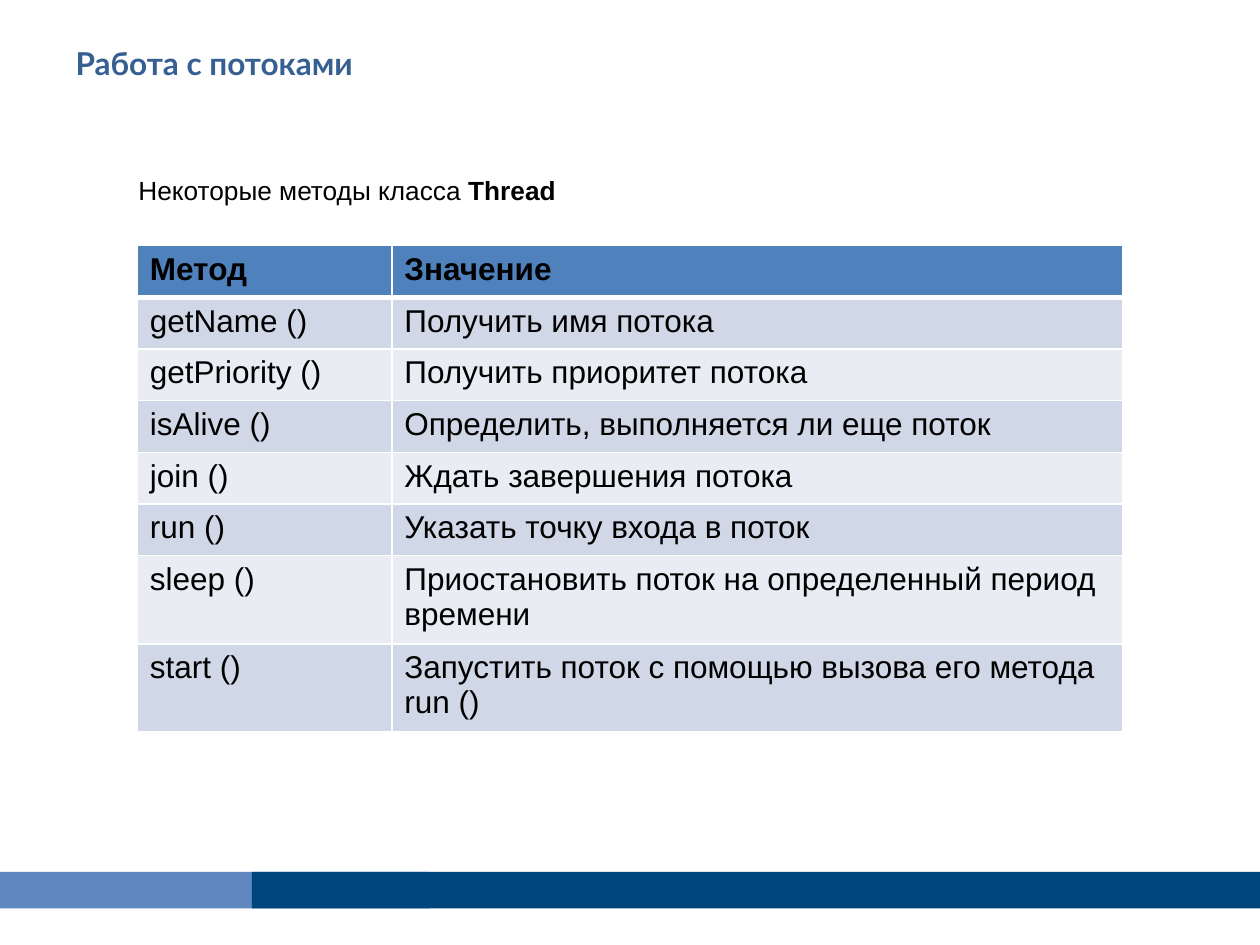
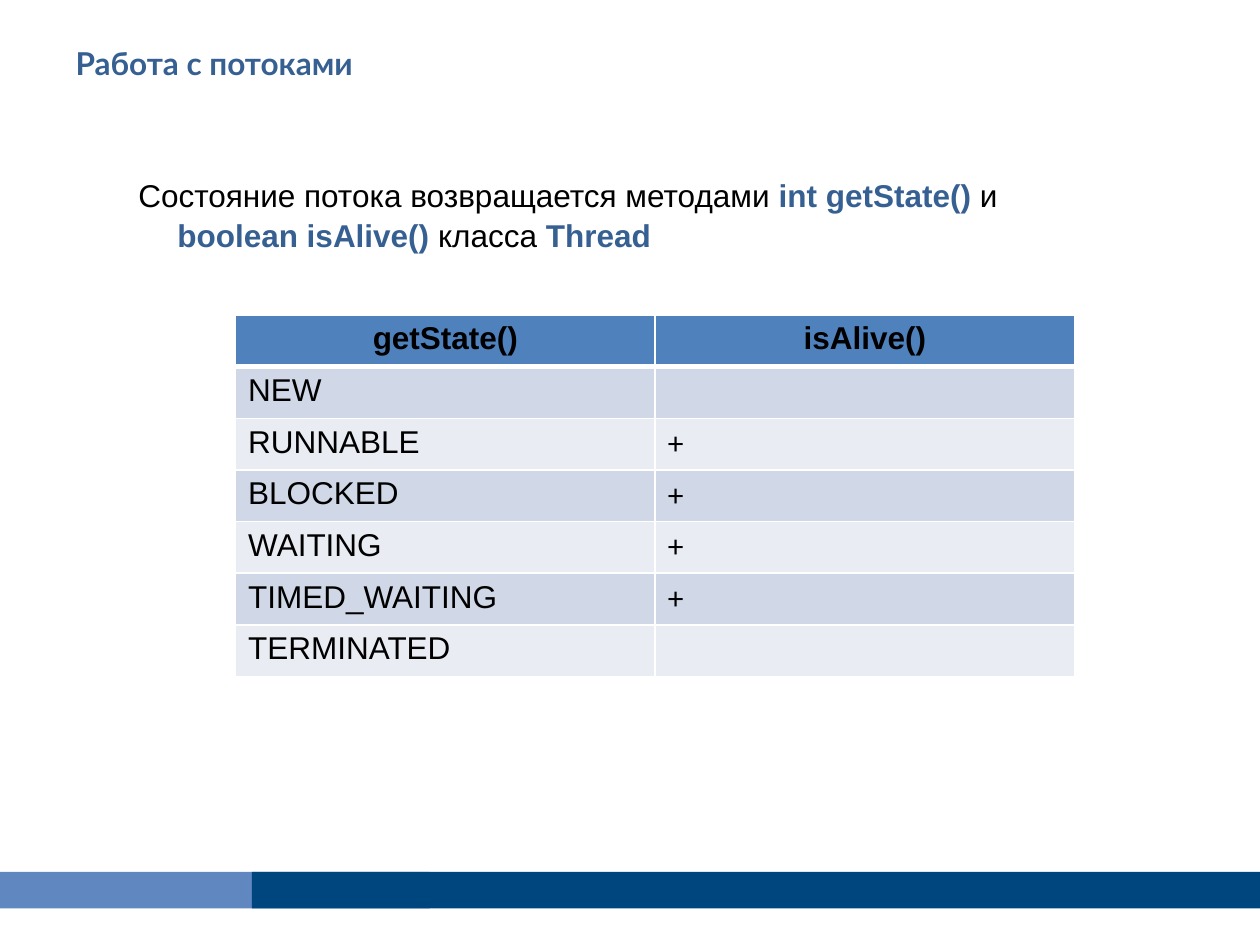
"""Build two slides on thread methods and thread states."""
import pptx
import pptx.dml.color
import pptx.enum.shapes
import pptx.enum.text
import pptx.oxml
import pptx.oxml.ns
import pptx.util

Inches = pptx.util.Inches
Pt = pptx.util.Pt
RGBColor = pptx.dml.color.RGBColor
PP_ALIGN = pptx.enum.text.PP_ALIGN

BLACK = RGBColor(0x00, 0x00, 0x00)
ACCENT = RGBColor(0x37, 0x60, 0x92)
BAND_LIGHT = RGBColor(0x60, 0x87, 0xBF)
BAND_DARK = RGBColor(0x00, 0x46, 0x7E)
HEADER = RGBColor(0x4F, 0x81, 0xBD)
ROW_FILLS = [RGBColor(0xE9, 0xEC, 0xF3), RGBColor(0xD0, 0xD8, 0xE7)]

BANDS = [(0, 3.41, BAND_LIGHT), (2, 8, BAND_DARK)]
TITLE = {"name": "Lato", "size": Pt(18), "bold": True}
BODY = {"name": "Arial", "size": Pt(18), "bold": False}
BOLD = {**BODY, "bold": True}
PLUS = {**BODY, "name": "Calibri"}
SMALL = {**BODY, "size": Pt(15)}

SLIDES = [
    {
        "intro": [
            ("Некоторые методы класса ", SMALL, BLACK),
            ("Thread", {**SMALL, "bold": True}, BLACK),
        ],
        "paragraph": {"space_before": Pt(3)},
        "at": (1.09, 1.95),
        "cols": [2.02, 5.8],
        "heights": [0.41] * 6 + [0.66] * 2,
        "header_align": PP_ALIGN.LEFT,
        "rows": [
            ("Метод", "Значение"),
            ("getName ()", "Получить имя потока"),
            ("getPriority ()", "Получить приоритет потока"),
            ("isAlive ()", "Определить, выполняется ли еще поток"),
            ("join ()", "Ждать завершения потока"),
            ("run ()", "Указать точку входа в поток"),
            ("sleep ()", "Приостановить поток на определенный период времени"),
            ("start ()", "Запустить поток с помощью вызова его метода run ()"),
        ],
    },
    {
        "intro": [
            ("Состояние потока возвращается методами ", BODY, BLACK),
            ("int getState() ", BOLD, ACCENT),
            ("и ", BODY, BLACK),
            ("boolean isAlive() ", BOLD, ACCENT),
            ("класса ", BODY, BLACK),
            ("Thread", BOLD, ACCENT),
        ],
        "paragraph": {"space_before": Pt(3.6), "line_spacing": 1.06},
        "at": (1.87, 2.5),
        "cols": [3.33, 3.33],
        "heights": [0.41] * 7,
        "header_align": PP_ALIGN.CENTER,
        "rows": [
            ("getState()", "isAlive()"),
            ("NEW", ""),
            ("RUNNABLE", "+"),
            ("BLOCKED", "+"),
            ("WAITING", "+"),
            ("TIMED_WAITING", "+"),
            ("TERMINATED", ""),
        ],
    },
]


def add_run(p, text, style, color):
    r = p.add_run()
    r.text = text
    for name, value in style.items():
        setattr(r.font, name, value)
    r.font.color.rgb = color


def set_borders(cell, bottom):
    tcPr = cell._tc.get_or_add_tcPr()
    widths = {"lnL": 0.96, "lnR": 0.96, "lnT": 0.96, "lnB": bottom}
    for i, (tag, width) in enumerate(widths.items()):
        tcPr.insert(i, pptx.oxml.parse_xml(
            f'<a:{tag} {pptx.oxml.ns.nsdecls("a")} w="{Pt(width)}"><a:solidFill>'
            f'<a:srgbClr val="FFFFFF"/></a:solidFill></a:{tag}>'))


prs = pptx.Presentation()
prs.slide_width = Inches(10)
prs.slide_height = Inches(7.5)

for data in SLIDES:
    slide = prs.slides.add_slide(prs.slide_layouts[5])

    for left, width, color in BANDS:
        sp = slide.shapes.add_shape(
            pptx.enum.shapes.MSO_SHAPE.RECTANGLE,
            Inches(left), Inches(6.92), Inches(width), Inches(0.29))
        sp.shadow.inherit = False
        sp.fill.solid()
        sp.fill.fore_color.rgb = color
        sp.line.fill.background()

    title = slide.shapes.title
    box = {"left": 0.5, "top": 0.3, "width": 9, "height": 0.78}
    for name, value in box.items():
        setattr(title, name, Inches(value))
    tf = title.text_frame
    tf.vertical_anchor = pptx.enum.text.MSO_ANCHOR.TOP
    p = tf.paragraphs[0]
    p.alignment = PP_ALIGN.LEFT
    add_run(p, "Работа с потоками", TITLE, ACCENT)

    sp = slide.shapes.add_textbox(Inches(1), Inches(1.33), Inches(8), Inches(5.25))
    tf = sp.text_frame
    tf.word_wrap = True
    p = tf.paragraphs[0]
    for name, value in data["paragraph"].items():
        setattr(p, name, value)
    pPr = p._p.get_or_add_pPr()
    pPr.set("marL", str(Inches(0.31)))
    pPr.set("indent", str(-Inches(0.31)))
    for text, style, color in data["intro"]:
        add_run(p, text, style, color)

    left, top = data["at"]
    table = slide.shapes.add_table(
        len(data["rows"]), len(data["cols"]), Inches(left), Inches(top),
        Inches(sum(data["cols"])), Inches(sum(data["heights"]))).table
    for col, width in zip(table.columns, data["cols"]):
        col.width = Inches(width)
    for i, texts in enumerate(data["rows"]):
        table.rows[i].height = Inches(data["heights"][i])
        for cell, text in zip(table.rows[i].cells, texts):
            cell.fill.solid()
            cell.fill.fore_color.rgb = ROW_FILLS[i % 2] if i else HEADER
            set_borders(cell, 0.96 if i else 3)
            p = cell.text_frame.paragraphs[0]
            p.alignment = PP_ALIGN.LEFT if i else data["header_align"]
            if text:
                style = PLUS if text == "+" else BODY if i else BOLD
                add_run(p, text, style, BLACK)

prs.save("out.pptx")
